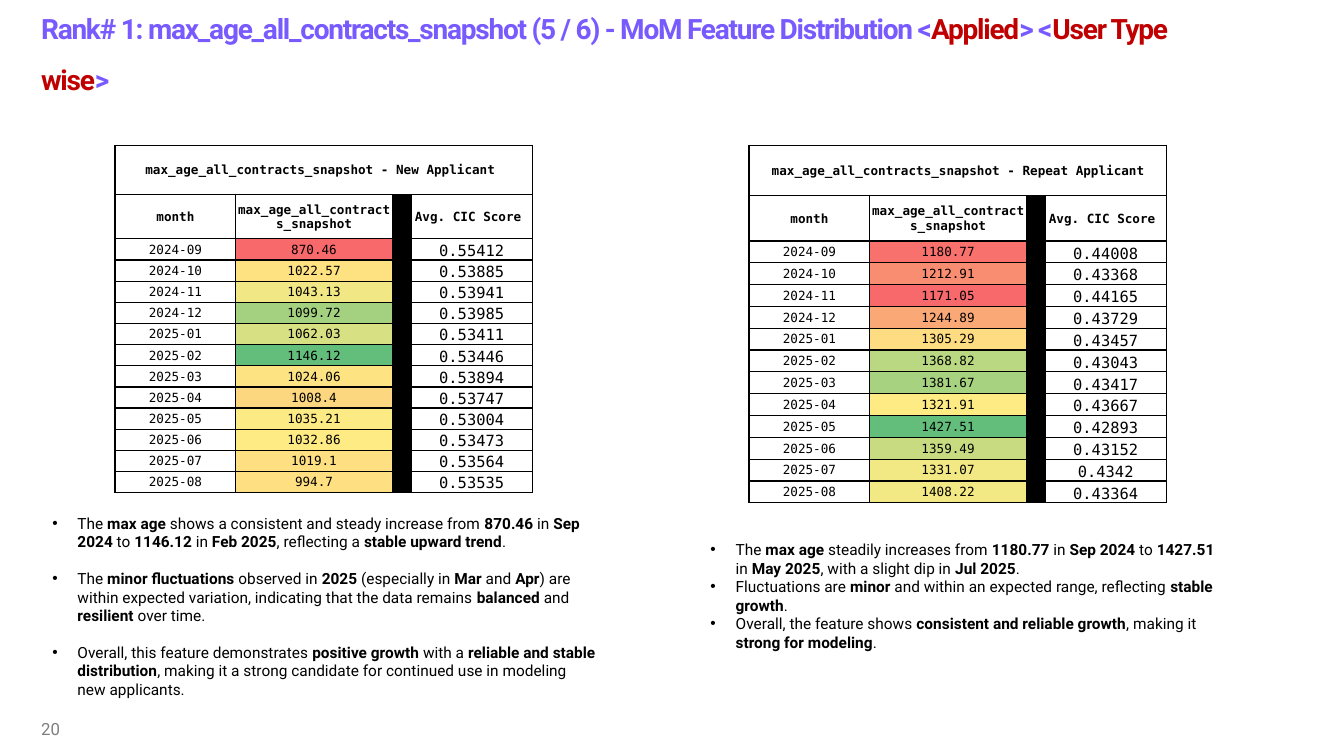
"""Build the slide on the monthly spread of one feature by user type."""
from dataclasses import dataclass

from lxml.etree import SubElement
from pptx import Presentation
from pptx.dml.color import RGBColor as Rgb
from pptx.enum.text import MSO_ANCHOR as Anchor, MSO_AUTO_SIZE as Auto, PP_ALIGN as Align
from pptx.oxml.ns import qn
from pptx.util import Pt

SANS, MONO = "Roboto", "DejaVu Sans Mono"
BLACK, VIOLET, RED, GRAY = "000000", "785AFF", "C00000", "808080"
FEATURE = "max_age_all_contracts_snapshot"
MONTHS = [f"2024-{m:02}" for m in range(9, 13)] + [f"2025-{m:02}" for m in range(1, 9)]
WIDTHS = (86.4, 111.6, 13.68, 86.4)


@dataclass
class Grid:
    left: float
    top: float
    title: str
    heads: tuple[float, float]
    row: float
    rows: list[tuple[str, str, str]]


@dataclass
class Notes:
    left: float
    top: float
    width: float
    height: float
    gap: float
    lines: list[str]


GRIDS = [
    Grid(82.08, 103.68, f"{FEATURE} - New Applicant ", (35.28, 31.68), 15.12, [
        ("870.46", "F8696B", "0.55412"), ("1022.57", "FEE282", "0.53885"),
        ("1043.13", "F1E784", "0.53941"), ("1099.72", "A3D17F", "0.53985"),
        ("1062.03", "D7E082", "0.53411"), ("1146.12", "63BE7B", "0.53446"),
        ("1024.06", "FEE382", "0.53894"), ("1008.4", "FDD780", "0.53747"),
        ("1035.21", "FCEB84", "0.53004"), ("1032.86", "FFEB84", "0.53473"),
        ("1019.1", "FEDF81", "0.53564"), ("994.7", "FEDF81", "0.53535")]),
    Grid(534.96, 103.68, f"{FEATURE} - Repeat Applicant", (36, 32.4), 15.6, [
        ("1180.77", "F8716C", "0.44008"), ("1212.91", "F98D71", "0.43368"),
        ("1171.05", "F8696B", "0.44165"), ("1244.89", "FBA877", "0.43729"),
        ("1305.29", "FEDC81", "0.43457"), ("1368.82", "BAD881", "0.43043"),
        ("1381.67", "A7D27F", "0.43417"), ("1321.91", "FFEB84", "0.43667"),
        ("1427.51", "63BE7B", "0.42893"), ("1359.49", "C8DB81", "0.43152"),
        ("1331.07", "F2E884", "0.4342"), ("1408.22", "F2E884", "0.43364")]),
]

NOTES = [
    Notes(30.24, 363.6, 402.48, 140.4, 13, [
        "The |max age| shows a consistent and steady increase from |870.46| in |Sep 2024| to "
        "|1146.12| in |Feb 2025|, reflecting a |stable upward trend|.",
        "The |minor fluctuations| observed in |2025| (especially in |Mar| and |Apr|) are within "
        "expected variation, indicating that the data remains |balanced| and |resilient| over time.",
        "Overall, this feature demonstrates |positive growth| with a |reliable and stable "
        "distribution|, making it a strong candidate for continued use in modeling new applicants."]),
    Notes(500.4, 382.32, 380.16, 87.12, 0, [
        "The |max age| steadily increases from |1180.77| in |Sep 2024| to |1427.51| in |May 2025|, "
        "with a slight dip in |Jul 2025|.",
        "Fluctuations are |minor| and within an expected range, reflecting |stable growth|.",
        "Overall, the feature shows |consistent and reliable growth|, making it "
        "|strong for modeling|."]),
]


def tint(code: str) -> Rgb:
    """Turn a hex string into a colour."""
    return Rgb.from_string(code)


def write(para, text: str, *, size: float = 11, face: str = SANS, color: str = BLACK,
          bold: bool = False, accent: str = "", track: int = 0) -> None:
    """Add runs, where parts between bars are bold or take the accent colour."""
    for i, part in enumerate(text.split("|")):
        mark = i % 2 == 1
        run = para.add_run()
        run.text = part
        font = run.font
        font.size, font.name = Pt(size), face
        font.bold = bold or mark
        font.color.rgb = tint(accent if mark and accent else color)
        if track:
            run._r.get_or_add_rPr().set("spc", str(track))


def add_box(slide, left: float, top: float, width: float, height: float, anchor=Anchor.TOP):
    """Add a wrapping text box and return its frame."""
    frame = slide.shapes.add_textbox(Pt(left), Pt(top), Pt(width), Pt(height)).text_frame
    frame.word_wrap = True
    frame.vertical_anchor = anchor
    return frame


def style(cell, fill: str = "", anchor=Anchor.MIDDLE) -> None:
    """Set the margins, borders and fill of a cell."""
    cell.margin_left = cell.margin_right = cell.margin_top = Pt(0.72)
    cell.margin_bottom = Pt(0)
    cell.vertical_anchor = anchor
    props = cell._tc.get_or_add_tcPr()
    for side in ("a:lnL", "a:lnR", "a:lnT", "a:lnB"):
        line = SubElement(props, qn(side), w=str(Pt(1)))
        SubElement(SubElement(line, qn("a:solidFill")), qn("a:srgbClr"), val=BLACK)
    if fill:
        cell.fill.solid()
        cell.fill.fore_color.rgb = tint(fill)
    else:
        cell.fill.background()


def fill_cell(cell, text: str, *, size: float = 9, bold: bool = False,
              fill: str = "", anchor=Anchor.MIDDLE) -> None:
    """Style a cell and centre its text."""
    style(cell, fill, anchor)
    para = cell.text_frame.paragraphs[0]
    para.alignment = Align.CENTER
    if text:
        write(para, text, size=size, face=MONO, bold=bold)
    else:
        SubElement(para._p, qn("a:endParaRPr"), sz=str(size * 100))


def add_grid(slide, grid: Grid) -> None:
    """Draw one table of monthly values."""
    highs = [*grid.heads] + [grid.row] * len(grid.rows)
    table = slide.shapes.add_table(len(highs), len(WIDTHS), Pt(grid.left), Pt(grid.top),
                                   Pt(sum(WIDTHS)), Pt(sum(highs))).table
    table.first_row = table.horz_banding = False
    for col, width in zip(table.columns, WIDTHS):
        col.width = Pt(width)
    for row, high in zip(table.rows, highs):
        row.height = Pt(high)
    for c, text in enumerate((grid.title, "", "", "")):
        fill_cell(table.cell(0, c), text, bold=True)
    table.cell(0, 0).merge(table.cell(0, 3))
    for c, text in enumerate(("month", FEATURE, "", "Avg. CIC Score ")):
        fill_cell(table.cell(1, c), text, bold=True, fill="" if text else BLACK)
    for r, (month, (value, shade, score)) in enumerate(zip(MONTHS, grid.rows), 2):
        fill_cell(table.cell(r, 0), month)
        fill_cell(table.cell(r, 1), value, fill=shade)
        fill_cell(table.cell(r, 2), "", fill=BLACK)
        fill_cell(table.cell(r, 3), score, size=11, anchor=Anchor.BOTTOM)


def add_notes(slide, notes: Notes) -> None:
    """Draw one bullet list."""
    frame = add_box(slide, notes.left, notes.top, notes.width, notes.height)
    frame.auto_size = Auto.SHAPE_TO_FIT_TEXT
    for i, line in enumerate(notes.lines):
        para = frame.add_paragraph() if i else frame.paragraphs[0]
        if i and notes.gap:
            para.space_before = Pt(notes.gap)
        props = para._p.get_or_add_pPr()
        props.set("marL", str(Pt(18)))
        props.set("indent", str(Pt(-18)))
        SubElement(props, qn("a:buFont"), typeface="Arial")
        SubElement(props, qn("a:buChar"), char="•")
        write(para, line)


def main() -> None:
    """Build and save the slide."""
    deck = Presentation()
    deck.slide_width, deck.slide_height = Pt(960), Pt(540)
    slide = deck.slides.add_slide(deck.slide_layouts[6])
    title = add_box(slide, 22.32, 18, 839.52, 28.8, Anchor.MIDDLE).paragraphs[0]
    title.line_spacing = 1.5
    write(title, f"Rank# 1: {FEATURE} (5 / 6) - MoM Feature Distribution "
          "<|Applied|> <|User Type wise|>",
          size=20, color=VIOLET, bold=True, accent=RED, track=-90)
    page = add_box(slide, 22.32, 506.16, 216, 28.8, Anchor.MIDDLE).paragraphs[0]
    page.space_after = Pt(6)
    write(page, "20", size=12, color=GRAY)
    for grid in GRIDS:
        add_grid(slide, grid)
    for notes in NOTES:
        add_notes(slide, notes)
    deck.save("out.pptx")


if __name__ == "__main__":
    main()
